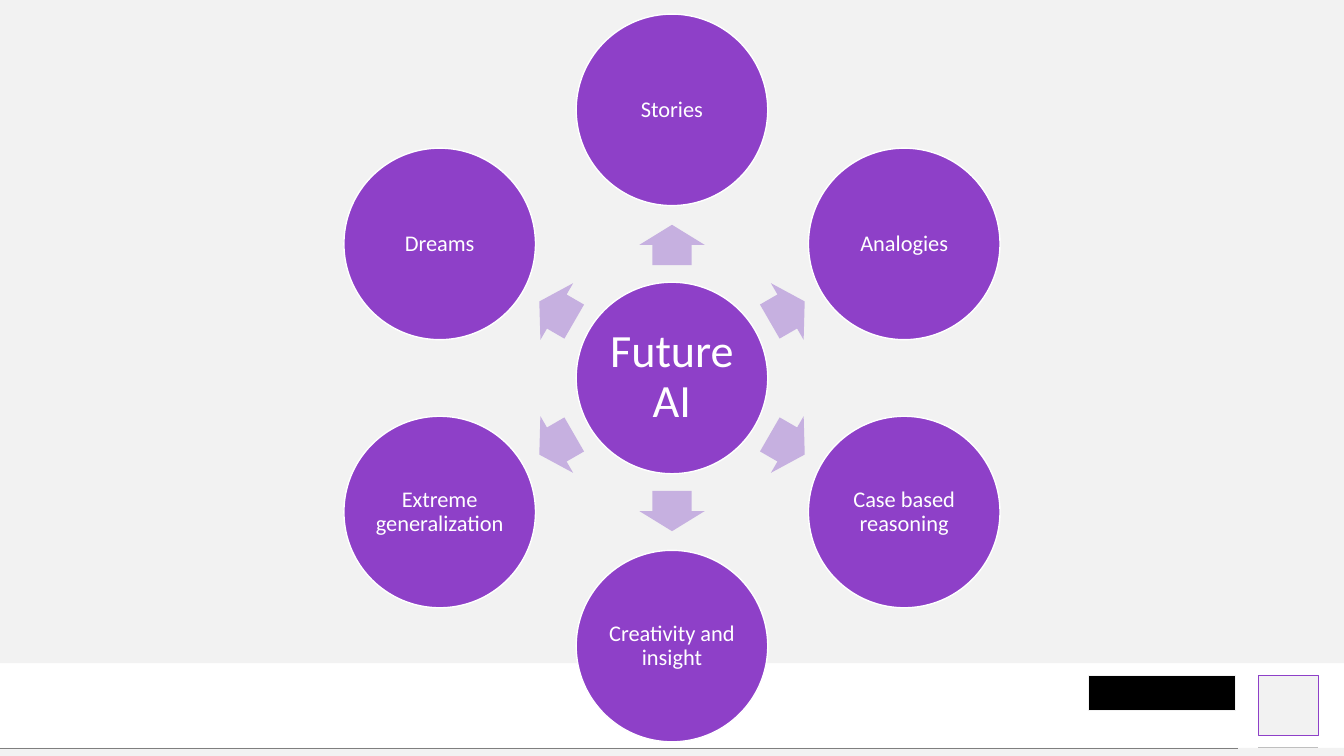
"""Build a radial diagram slide: six topics around Future AI."""
import math
import pptx
import pptx.dml.color
import pptx.enum.shapes
import pptx.enum.text
import pptx.oxml
import pptx.util

COLOURS = {"purple": "8E40C8", "lilac": "C6B0E0", "grey": "F2F2F2", "slate": "7F7F7F",
           "silver": "BFBFBF", "white": "FFFFFF", "black": "000000"}
COLUMNS, ROWS = 1333, 750
KINDS = pptx.enum.shapes.MSO_SHAPE

deck = pptx.Presentation()
deck.slide_width = pptx.util.Inches(13.33)
deck.slide_height = pptx.util.Inches(7.5)
column = deck.slide_width / COLUMNS
row = deck.slide_height / ROWS
slide = deck.slides.add_slide(deck.slide_layouts[6])


def add_box(kind, left, top, width, height, fill, line=None, weight=1):
    """Add a filled preset shape, placed in grid columns and rows."""
    box = slide.shapes.add_shape(kind, round(left * column), round(top * row),
                                 round(width * column), round(height * row))
    box.shadow.inherit = False
    box.fill.solid()
    box.fill.fore_color.rgb = pptx.dml.color.RGBColor.from_string(COLOURS[fill])
    if line:
        box.line.color.rgb = pptx.dml.color.RGBColor.from_string(COLOURS[line])
        box.line.width = pptx.util.Pt(weight)
    else:
        box.line.fill.background()
    return box


def write(box, text, size, inset):
    """Write one centred white paragraph."""
    margin = pptx.util.Inches(inset)
    frame_format = {"word_wrap": True, "margin_left": margin, "margin_right": margin,
                    "margin_top": margin, "margin_bottom": margin,
                    "vertical_anchor": pptx.enum.text.MSO_ANCHOR.MIDDLE}
    para = box.text_frame.paragraphs[0]
    para_format = {"alignment": pptx.enum.text.PP_ALIGN.CENTER, "line_spacing": 0.9,
                   "space_after": pptx.util.Pt(size * 0.35)}
    span = para.add_run()
    span.text = text
    span_format = {"name": "Calibri", "size": pptx.util.Pt(size)}
    for target, settings in ((box.text_frame, frame_format), (para, para_format),
                             (span.font, span_format)):
        for name, value in settings.items():
            setattr(target, name, value)
    span.font.color.rgb = pptx.dml.color.RGBColor.from_string(COLOURS["white"])


add_box(KINDS.RECTANGLE, 1248, 670, 59, 59, "grey", "purple", 0.25)
add_box(KINDS.RECTANGLE, 0, 742, COLUMNS, 8, "grey")
for start, end, level, colour, weight in ((1248, 1307, 741, "silver", 0.5),
                                          (0, 1228, 742, "slate", 0.25)):
    rule = slide.shapes.add_connector(
        pptx.enum.shapes.MSO_CONNECTOR.STRAIGHT, round(start * column),
        round(level * row), round(end * column), round(level * row))
    rule.line.color.rgb = pptx.dml.color.RGBColor.from_string(COLOURS[colour])
    rule.line.width = pptx.util.Pt(weight)
    rule._element.spPr.append(pptx.oxml.parse_xml(
        '<a:effectLst xmlns:a="http://schemas.openxmlformats.org/drawingml/2006/main"/>'))
add_box(KINDS.RECTANGLE, 1080, 670, 145, 35, "black", "grey", 0.75)
add_box(KINDS.RECTANGLE, 0, 0, COLUMNS, 658, "grey")

centre_x, centre_y = COLUMNS / 2, ROWS / 2
diameter, topic_radius, arrow_radius = 190, 266, 132
arrow_length, arrow_width = 40, 65
topics = ["Stories", "Analogies", "Case based reasoning", "Creativity and insight",
          "Extreme generalization", "Dreams"]

hub = add_box(KINDS.OVAL, centre_x - diameter / 2, centre_y - diameter / 2,
              diameter, diameter, "purple", "white")
write(hub, "Future AI", 33, 0.05)

for index, topic in enumerate(topics):
    angle = index * 360 / len(topics) - 90
    across, down = math.cos(math.radians(angle)), math.sin(math.radians(angle))
    arrow = add_box(KINDS.RIGHT_ARROW,
                    centre_x + arrow_radius * across - arrow_length / 2,
                    centre_y + arrow_radius * down - arrow_width / 2,
                    arrow_length, arrow_width, "lilac")
    arrow.adjustments[0], arrow.adjustments[1] = 0.6, 0.5
    arrow.rotation = angle % 360
    circle = add_box(KINDS.OVAL,
                     centre_x + topic_radius * across - diameter / 2,
                     centre_y + topic_radius * down - diameter / 2,
                     diameter, diameter, "purple", "white")
    write(circle, topic, 16, 0.02)

deck.save("out.pptx")
